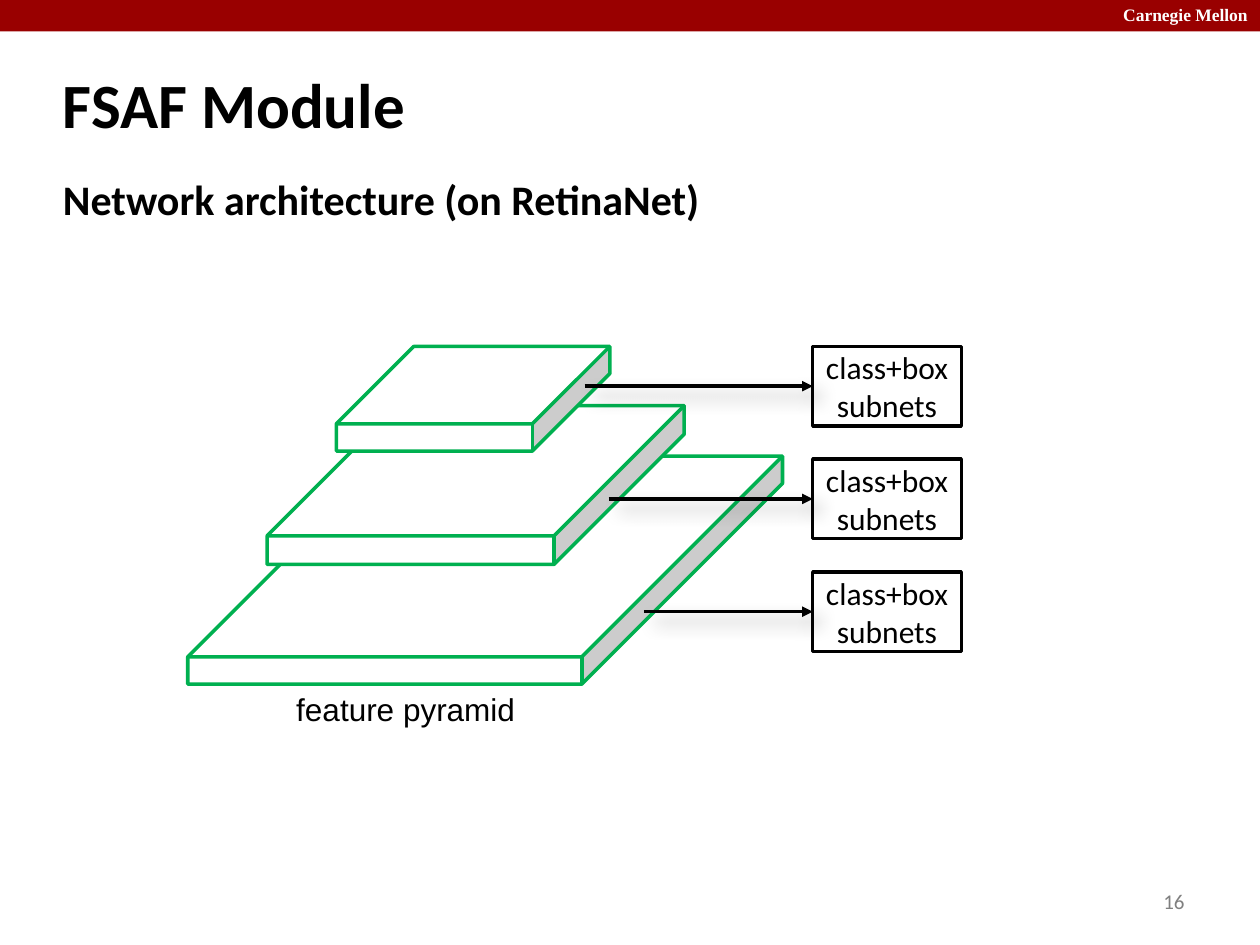
from lxml import etree
from pptx import Presentation, util as u
from pptx.dml.color import RGBColor
from pptx.enum import shapes, text
from pptx.oxml import parse_xml
from pptx.oxml.ns import qn

RED = RGBColor(0x99, 0x00, 0x00)
GREEN = RGBColor(0x00, 0xB0, 0x50)
GRAY = RGBColor(0x80, 0x80, 0x80)
BLACK = RGBColor(0, 0, 0)
WHITE = RGBColor(255, 255, 255)

W, H = 10, 7.5
MARGIN = W / 20
LEFT, CENTER, RIGHT = text.PP_ALIGN.LEFT, text.PP_ALIGN.CENTER, text.PP_ALIGN.RIGHT
TOP, MIDDLE = text.MSO_ANCHOR.TOP, text.MSO_ANCHOR.MIDDLE

# lines, (left, top, width, height), font, size, bold, colour, align, anchor, left inset
TEXTS = [
    (["Carnegie Mellon"], (8.75, -0.02, 1.25, 0.27), "Times New Roman", 10, True,
     WHITE, RIGHT, TOP, 0.1),
    (["FSAF Module"], (MARGIN, 0.43, W - 2 * MARGIN, 0.78), "Calibri", 36, True,
     BLACK, LEFT, MIDDLE, 0),
    (["Network architecture (on RetinaNet)"], (MARGIN, 1.33, W - 2 * MARGIN, 5.58),
     "Calibri", 24, True, BLACK, LEFT, TOP, 0),
    (["feature pyramid"], (2.25, 5.43, 1.94, 0.4), "Arial", 18, False,
     BLACK, CENTER, TOP, 0.1),
    (["16"], (7.17, 6.95, 2.33, 0.4), "Calibri", 12, False, GRAY, RIGHT, MIDDLE, 0.1),
]

# Pyramid levels from bottom to top: (left, top, width, height), cube depth
LEVELS = [
    ((1.49, 3.62, 4.72, 1.81), 0.88),
    ((2.12, 3.22, 3.31, 1.26), 0.82),
    ((2.67, 2.75, 2.17, 0.83), 0.74),
]
SUBNET = ["class+box", "subnets"]
ARROW_STARTS = [4.64, 4.83, 5.11]
BOX_LEFT, BOX_TOP, BOX_W, BOX_H, BOX_STEP = 6.45, 2.75, 1.18, 0.63, 0.895

ARROW_SHADOW = (
    '<a:effectLst xmlns:a="http://schemas.openxmlformats.org/drawingml/2006/main">'
    '<a:outerShdw blurRad="129540" dist="101600" dir="2700000">'
    '<a:srgbClr val="000000"><a:alpha val="35000"/></a:srgbClr>'
    '</a:outerShdw></a:effectLst>'
)


def inches(values):
    return [u.Inches(v) for v in values]


def write(s, lines, font, size, bold, color, align, anchor, inset):
    tf = s.text_frame
    tf.word_wrap = True
    tf.vertical_anchor = anchor
    tf.margin_left = u.Inches(inset)
    for i, line in enumerate(lines):
        p = tf.add_paragraph() if i else tf.paragraphs[0]
        p.text = line
        p.alignment = align
        p.font.name, p.font.size, p.font.bold = font, u.Pt(size), bold
        p.font.color.rgb = color


def add_block(sp, kind, place, fill, line=None):
    s = sp.add_shape(kind, *inches(place))
    s.shadow.inherit = False
    s.fill.solid()
    s.fill.fore_color.rgb = fill
    if line is None:
        s.line.fill.background()
    else:
        s.line.color.rgb = line
        s.line.width = u.Pt(2)
    return s


def add_arrow(sp, x1, x2, y):
    c = sp.add_connector(shapes.MSO_CONNECTOR.STRAIGHT, *inches((x1, y, x2, y)))
    c.line.color.rgb = BLACK
    c.line.width = u.Pt(2)
    etree.SubElement(c.line._get_or_add_ln(), qn("a:tailEnd"), type="triangle")
    c._element.spPr.append(parse_xml(ARROW_SHADOW))


def main():
    prs = Presentation()
    prs.slide_width, prs.slide_height = inches((W, H))
    sp = prs.slides.add_slide(prs.slide_layouts[6]).shapes
    kinds = shapes.MSO_SHAPE

    add_block(sp, kinds.RECTANGLE, (0, 0, W, H / 30), RED)
    for lines, place, *style in TEXTS:
        write(sp.add_textbox(*inches(place)), lines, *style)

    for place, depth in LEVELS:
        add_block(sp, kinds.CUBE, place, WHITE, GREEN).adjustments[0] = depth

    tops = [BOX_TOP + i * BOX_STEP for i in range(len(ARROW_STARTS))]
    for top in tops:
        box = add_block(sp, kinds.RECTANGLE, (BOX_LEFT, top, BOX_W, BOX_H), WHITE, BLACK)
        box.text_frame.margin_right = 0
        write(box, SUBNET, "Calibri", 18, False, BLACK, CENTER, MIDDLE, 0)
    for start, top in zip(ARROW_STARTS, tops):
        add_arrow(sp, start, BOX_LEFT, top + BOX_H / 2)

    prs.save("out.pptx")


if __name__ == "__main__":
    main()
